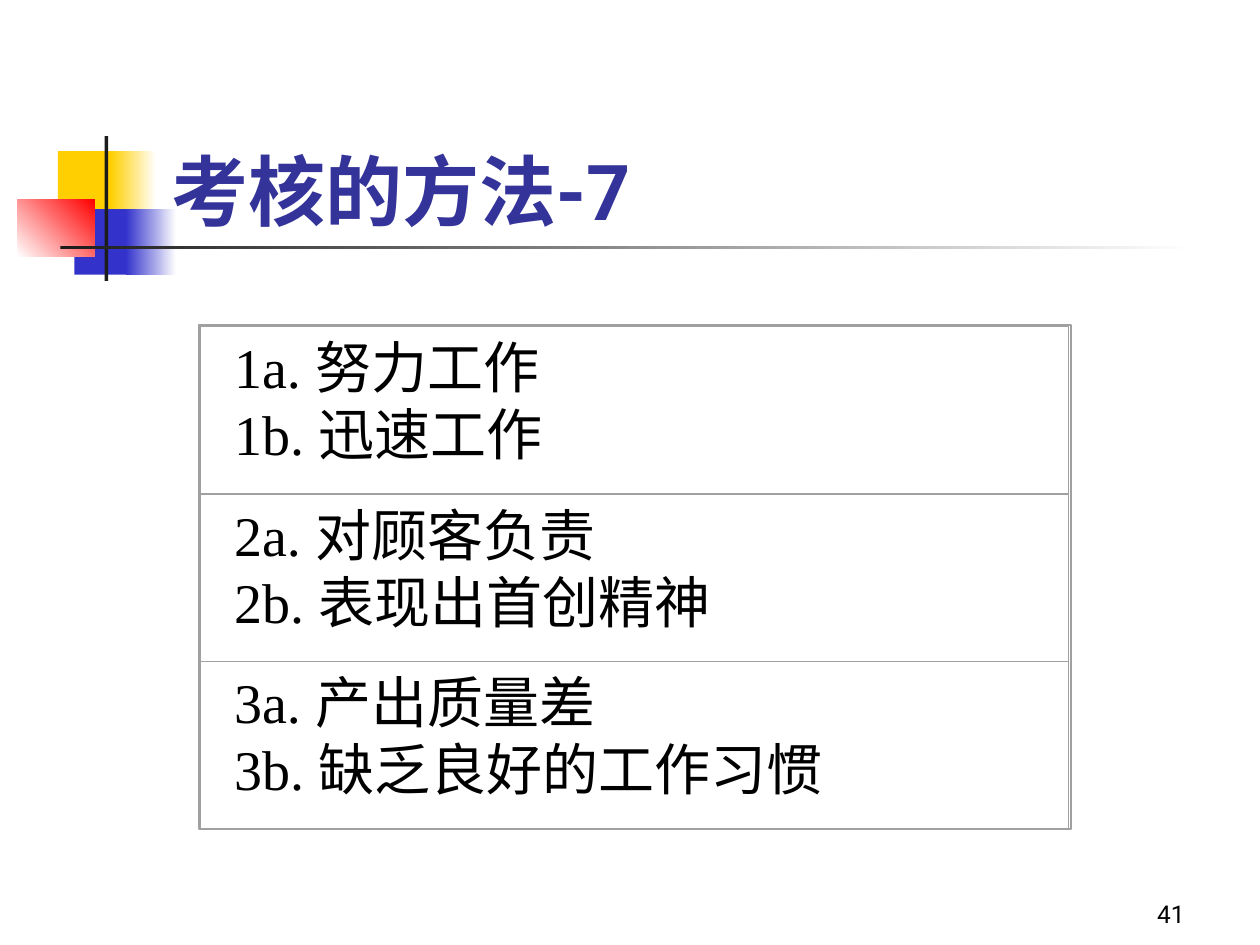
from pptx import Presentation
from pptx.dml.color import RGBColor
from pptx.enum.shapes import MSO_SHAPE
from pptx.enum.text import MSO_ANCHOR, PP_ALIGN
from pptx.util import Inches, Pt

RECTANGLE = MSO_SHAPE.RECTANGLE
TOP, BOTTOM = MSO_ANCHOR.TOP, MSO_ANCHOR.BOTTOM
LEFT, RIGHT, JUSTIFY = PP_ALIGN.LEFT, PP_ALIGN.RIGHT, PP_ALIGN.JUSTIFY

YELLOW = RGBColor(0xFF, 0xCF, 0x01)
BLUE = RGBColor(0x33, 0x33, 0xCC)
RED = RGBColor(0xFF, 0x00, 0x00)
WHITE = RGBColor(0xFF, 0xFF, 0xFF)
BLACK = RGBColor(0x00, 0x00, 0x00)
CHARCOAL = RGBColor(0x1C, 0x1C, 0x1C)
TITLE_BLUE = RGBColor(0x33, 0x33, 0x99)
GRAY = RGBColor(0xA0, 0xA0, 0xA0)

STATEMENT_PAIRS = [
    ("1a. 努力工作", "1b. 迅速工作"),
    ("2a. 对顾客负责", "2b. 表现出首创精神"),
    ("3a. 产出质量差", "3b. 缺乏良好的工作习惯"),
]


def add_rectangle(page, left, top, width, height):
    box = page.shapes.add_shape(
        RECTANGLE, Inches(left), Inches(top), Inches(width), Inches(height))
    box.shadow.inherit = False
    return box


def add_block(page, left, top, width, height, colors, angle=0):
    """Add a borderless rectangle: one colour is solid, two are a gradient."""
    block = add_rectangle(page, left, top, width, height)
    block.line.fill.background()
    if len(colors) == 1:
        block.fill.solid()
        block.fill.fore_color.rgb = colors[0]
        return
    block.fill.gradient()
    block.fill.gradient_angle = angle
    for stop, color in zip(block.fill.gradient_stops, colors):
        stop.color.rgb = color


def add_frame(page, left, top, width, height, weight):
    frame = add_rectangle(page, left, top, width, height)
    frame.fill.background()
    frame.line.color.rgb = GRAY
    frame.line.width = Pt(weight)


def add_text(page, left, top, width, height, text, size, font="Roboto",
             color=BLACK, bold=False, align=LEFT, anchor=TOP):
    box = page.shapes.add_textbox(
        Inches(left), Inches(top), Inches(width), Inches(height))
    frame = box.text_frame
    frame.word_wrap = True
    frame.vertical_anchor = anchor
    frame.text = text
    for para in frame.paragraphs:
        para.alignment = align
        for span in para.runs:
            span.font.name = font
            span.font.size = Pt(size)
            span.font.bold = bold
            span.font.color.rgb = color


def add_ornament(page, left, top):
    """Add the coloured blocks and the crossing bars beside the title."""
    add_block(page, left + 0.32, top + 0.12, 0.48, 0.52, [YELLOW])
    add_block(page, left + 0.74, top + 0.12, 0.36, 0.52, [YELLOW, WHITE])
    add_block(page, left + 0.45, top + 0.58, 0.46, 0.52, [BLUE])
    add_block(page, left + 0.86, top + 0.58, 0.4, 0.52, [BLUE, WHITE])
    add_block(page, left, top + 0.5, 0.61, 0.46, [WHITE, RED], angle=45)
    add_block(page, left + 0.69, top, 0.03, 1.15, [CHARCOAL])
    add_block(page, left + 0.34, top + 0.87, 9, 0.03, [CHARCOAL, WHITE])


def add_statements(page, left, top, width, height):
    """Stack the statement pairs in equal framed rows inside one outline."""
    row_height = height / len(STATEMENT_PAIRS)
    margin = 0.17
    for index, pair in enumerate(STATEMENT_PAIRS):
        row_top = top + index * row_height
        add_text(page, left + margin, row_top, width - 2 * margin, row_height,
                 "\n".join(pair), 32, font="Times New Roman", align=JUSTIFY)
        add_frame(page, left, row_top, width, row_height, 0)
    add_frame(page, left - 0.01, top - 0.01, width + 0.03, height + 0.01, 0.88)


def main():
    deck = Presentation()
    deck.slide_width, deck.slide_height = Inches(10), Inches(7.5)
    page = deck.slides.add_slide(deck.slide_layouts[6])
    add_ornament(page, 0.14, 1.08)
    add_text(page, 7.42, 6.92, 2.08, 0.5, "41", 14, align=RIGHT, anchor=BOTTOM)
    add_text(page, 1.26, 0.67, 8.52, 1.25, "考核的方法-7", 44,
             color=TITLE_BLUE, bold=True, anchor=BOTTOM)
    add_statements(page, 1.59, 2.59, 6.89, 3.99)
    deck.save("out.pptx")


if __name__ == "__main__":
    main()
